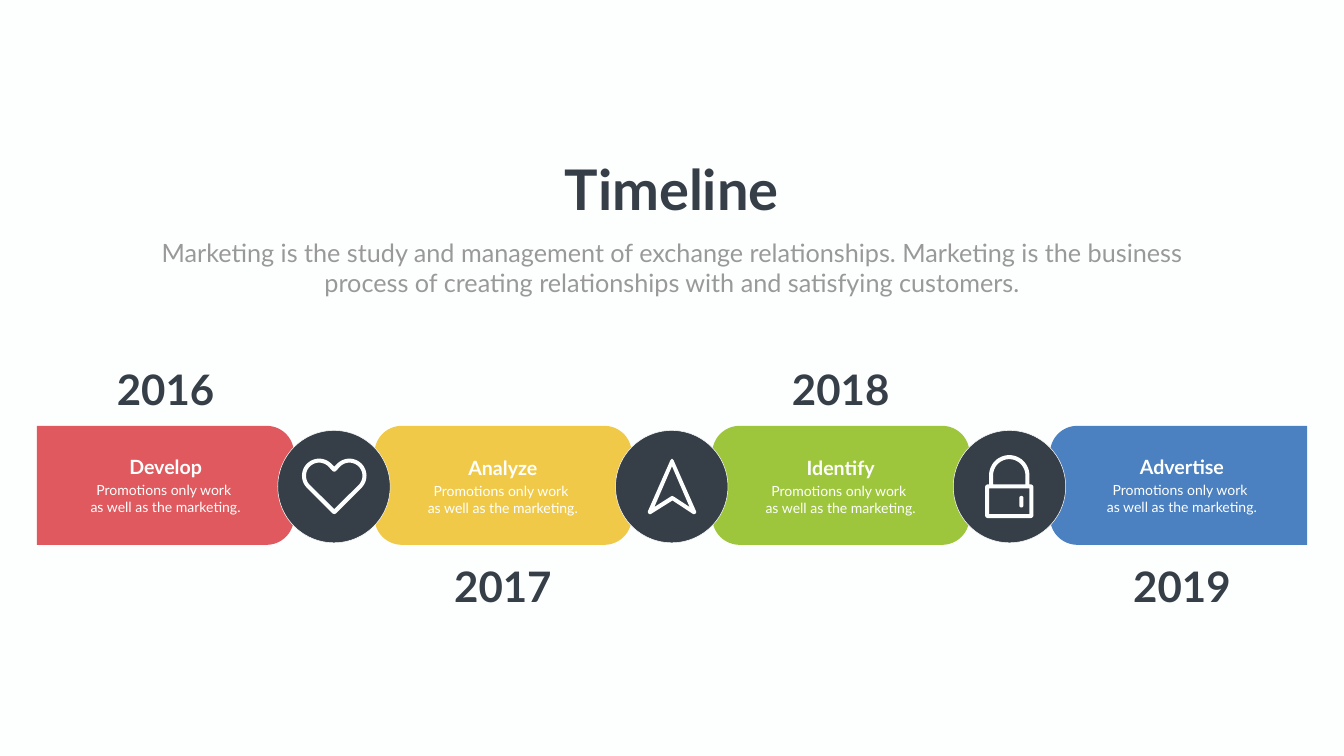
from math import cos, radians, sin

from pptx import Presentation
from pptx.dml.color import RGBColor
from pptx.enum.shapes import MSO_SHAPE as Shape
from pptx.enum.text import MSO_AUTO_SIZE as AutoSize, PP_ALIGN as Align
from pptx.util import Pt

EMU_PER_PX = 9144
SLIDE_WIDTH, SLIDE_HEIGHT = 2666, 1500

FONT = "Lato"
PAPER = RGBColor(0xFD, 0xFF, 0xFE)
INK = RGBColor(0x36, 0x3E, 0x48)
GRAY = RGBColor(0x99, 0x99, 0x99)
RED = RGBColor(0xDF, 0x59, 0x5E)
YELLOW = RGBColor(0xF1, 0xC9, 0x49)
GREEN = RGBColor(0x9E, 0xC6, 0x3D)
BLUE = RGBColor(0x4B, 0x80, 0xC1)

CARD_LEFT, CARD_TOP, CARD_PITCH = 73, 845, 670
CARD_WIDTH, CARD_HEIGHT, CARD_RADIUS = 510, 236, 54
BADGE_OFFSET, BADGE_TOP, BADGE_SIZE = 478, 854, 223
YEAR_ABOVE, YEAR_BELOW = -129, 263

BODY_LINES = ["Promotions only work ", "as well as the marketing."]
STEPS = [
    ("2016", "Develop", RED, YEAR_ABOVE, (151, 52)),
    ("2017", "Analyze", YELLOW, YEAR_BELOW, (150, 55)),
    ("2018", "Identify", GREEN, YEAR_ABOVE, (150, 54)),
    ("2019", "Advertise", BLUE, YEAR_BELOW, (157, 52)),
]


def px(length):
    return round(length * EMU_PER_PX)


def arc(center_x, center_y, radius, start, end, steps=24):
    angles = [radians(start + (end - start) * i / steps) for i in range(steps + 1)]
    return [(center_x + radius * cos(a), center_y + radius * sin(a)) for a in angles]


def rounded_box(left, top, right, bottom, left_radius, right_radius):
    return (
        arc(left + left_radius, top + left_radius, left_radius, 180, 270)
        + arc(right - right_radius, top + right_radius, right_radius, 270, 360)
        + arc(right - right_radius, bottom - right_radius, right_radius, 0, 90)
        + arc(left + left_radius, bottom - left_radius, left_radius, 90, 180)
    )


def paint(shape, color):
    shape.shadow.inherit = False
    shape.fill.solid()
    shape.fill.fore_color.rgb = color
    shape.line.fill.background()


def add_outline(slide, left, top, contours, color):
    placed = [[(px(left + x), px(top + y)) for x, y in contour] for contour in contours]
    builder = slide.shapes.build_freeform(*placed[0][0], scale=1.0)
    builder.add_line_segments(placed[0][1:], close=True)
    for contour in placed[1:]:
        builder.move_to(*contour[0])
        builder.add_line_segments(contour[1:], close=True)
    paint(builder.convert_to_shape(), color)


def add_text(slide, box, lines, size, color, bold=False, wrap=True):
    text_box = slide.shapes.add_textbox(*map(px, box))
    frame = text_box.text_frame
    frame.word_wrap = wrap
    frame.auto_size = AutoSize.SHAPE_TO_FIT_TEXT
    for index, line in enumerate(lines):
        paragraph = frame.add_paragraph() if index else frame.paragraphs[0]
        paragraph.alignment = Align.CENTER
        run = paragraph.add_run()
        run.text = line
        run.font.name = FONT
        run.font.size = Pt(size)
        run.font.bold = bold
        run.font.color.rgb = color


def add_header(slide, left, top, width):
    title_width = 453
    title_left = left + (width - title_width) // 2
    add_text(slide, (title_left, top, title_width, 145), ["Timeline"], 80, INK, True, False)
    subtitle = (
        "Marketing is the study and management of exchange relationships. "
        "Marketing is the business process of creating relationships with "
        "and satisfying customers."
    )
    add_text(slide, (left, top + 165, width, 131), [subtitle], 36, GRAY)


def add_card(slide, left, top, step, left_radius, right_radius):
    year, heading, color, year_offset, (text_x, text_y) = step
    outline = rounded_box(0, 0, CARD_WIDTH, CARD_HEIGHT, left_radius, right_radius)
    add_outline(slide, left, top, [outline], color)
    text_left, text_top = left + text_x, top + text_y
    add_text(slide, (text_left, text_top, 209, 57), [heading], 28, PAPER, True)
    add_text(slide, (text_left - 57, text_top + 53, 323, 77), BODY_LINES, 20, PAPER)
    add_text(slide, (text_left - 19, top + year_offset, 247, 111), [year], 60, INK, True)


def add_heart(slide, left, top):
    outer = arc(34, 34, 34, 135, 315) + [(64, 16)] + arc(94, 34, 34, 225, 405)
    outer += [(67, 109), (64, 110), (61, 109)]
    inner = arc(34, 34, 26, 135, 315) + [(61, 25), (64, 26), (67, 25)]
    inner += arc(94, 34, 26, 225, 405) + [(64, 100)]
    add_outline(slide, left + 48, top + 56, [outer, inner], PAPER)


def add_pointer(slide, left, top):
    outer = [(45, 3), (48, 0), (51, 3), (96, 105), (96, 108), (93, 110), (90, 110),
             (49, 83), (6, 110), (3, 110), (0, 107), (0, 105)]
    inner = [(48, 15), (83, 96), (51, 75), (48, 74), (46, 75), (13, 96)]
    add_outline(slide, left + 64, top + 56, [outer, inner], PAPER)


def add_lock(slide, left, top):
    outer = arc(48, 40, 40, 180, 360) + [(88, 58)]
    outer += arc(90, 64, 6, 270, 360) + arc(90, 119, 6, 0, 90)
    outer += arc(6, 119, 6, 90, 180) + arc(6, 64, 6, 180, 270) + [(8, 58)]
    shackle = arc(48, 40, 32, 180, 360) + [(80, 58), (16, 58)]
    body = [(8, 66), (88, 66), (88, 117), (8, 117)]
    add_outline(slide, left + 63, top + 49, [outer, shackle, body], PAPER)
    keyhole = rounded_box(0, 0, 8, 23, 4, 4)
    add_outline(slide, left + 131, top + 130, [keyhole], PAPER)


def add_badge(slide, left, top, add_icon):
    circle = slide.shapes.add_shape(Shape.OVAL, *map(px, (left, top, BADGE_SIZE, BADGE_SIZE)))
    paint(circle, INK)
    circle.line.color.rgb = PAPER
    circle.line.width = Pt(0.75)
    add_icon(slide, left, top)


def main():
    presentation = Presentation()
    presentation.slide_width = px(SLIDE_WIDTH)
    presentation.slide_height = px(SLIDE_HEIGHT)
    slide = presentation.slides.add_slide(presentation.slide_layouts[6])
    slide.background.fill.solid()
    slide.background.fill.fore_color.rgb = PAPER

    add_header(slide, 268, 301, 2130)
    last = len(STEPS) - 1
    for index, step in enumerate(STEPS):
        left_radius = CARD_RADIUS if index > 0 else 0
        right_radius = CARD_RADIUS if index < last else 0
        card_left = CARD_LEFT + index * CARD_PITCH
        add_card(slide, card_left, CARD_TOP, step, left_radius, right_radius)
    for index, add_icon in enumerate([add_heart, add_pointer, add_lock]):
        badge_left = CARD_LEFT + index * CARD_PITCH + BADGE_OFFSET
        add_badge(slide, badge_left, BADGE_TOP, add_icon)

    presentation.save("out.pptx")


if __name__ == "__main__":
    main()
